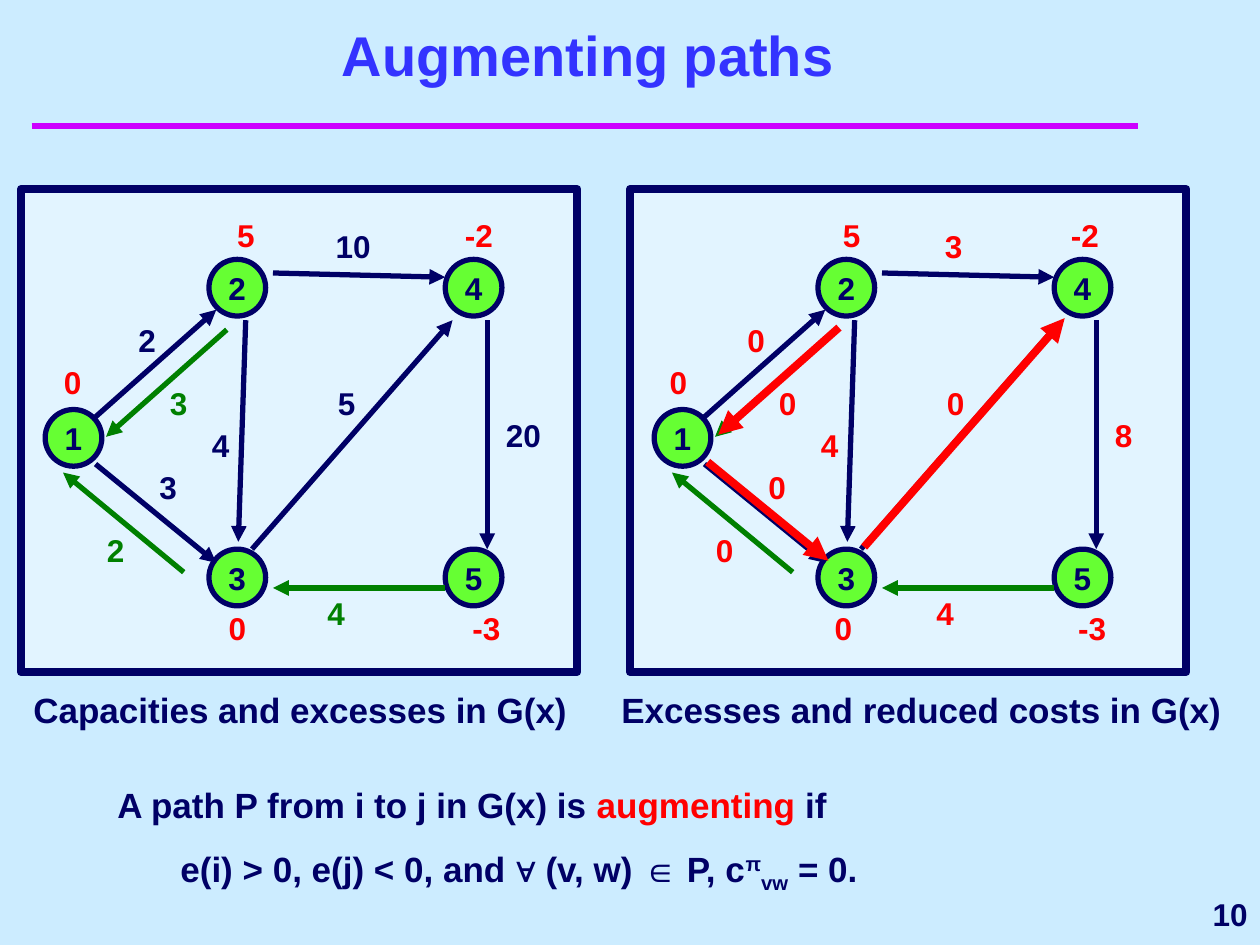
from lxml.etree import SubElement
from pptx import Presentation
from pptx.dml.color import RGBColor
from pptx.enum.shapes import MSO_CONNECTOR, MSO_SHAPE
from pptx.enum.text import MSO_ANCHOR, MSO_AUTO_SIZE, PP_ALIGN
from pptx.oxml.ns import qn
from pptx.util import Inches, Pt

SKY = RGBColor(0xCC, 0xEC, 0xFF)
PALE = RGBColor(0xE2, 0xF4, 0xFF)
NAVY = RGBColor(0x00, 0x00, 0x66)
BLUE = RGBColor(0x33, 0x33, 0xFF)
MAGENTA = RGBColor(0xCC, 0x00, 0xFF)
LIME = RGBColor(0x66, 0xFF, 0x33)
GREEN = RGBColor(0x00, 0x80, 0x00)
RED = RGBColor(0xFF, 0x00, 0x00)

COLUMNS, ROWS = 120, 90
SLIDE_WIDTH, SLIDE_HEIGHT = Inches(10), Inches(7.5)
PANEL_ROW, PANEL_COLUMNS, PANEL_ROWS = 18, 53, 46
CAPTION_ROW = 47
NODE_SIZE, LABEL_ROWS = 5.4, 4.8
HIGHLIGHT_SHIFT = (0.3, -0.2)

TITLE = "Augmenting paths"
PAGE_NUMBER = "10"

# node: centre, excess, excess label (column, row, columns)
NODES = {
    "1": ((5, 23.7), "0", (2.9, 16, 6.1)),
    "2": ((20.6, 9.4), "5", (19.4, 2, 4.8)),
    "3": ((20.6, 37), "0", (18.6, 39.4, 6.1)),
    "5": ((43.1, 37), "-3", (41.8, 39.4, 5.4)),
    "4": ((43.1, 9.4), "-2", (41.1, 2, 6.1)),
}

ARCS = {
    "1-2": ((7.1, 21.7), (18.6, 11.5), NAVY, (10, 12, 8)),
    "2-4": ((24, 8), (40.4, 8.4), NAVY, (28.8, 3, 9.6)),
    "4-5": ((44.4, 12.5), (44.4, 34.3), NAVY, (45, 21, 7)),
    "3-4": ((22, 34.3), (41.1, 12.5), NAVY, (29, 18, 5.4)),
    "1-3": ((7.1, 26.2), (18.6, 35.6), NAVY, (12, 26, 5.4)),
    "2-3": ((21.4, 12.5), (20.7, 33.6), NAVY, (17, 22, 5)),
    "3-1": ((15.5, 36.5), (4, 27), GREEN, (7, 32, 9)),
    "2-1": ((19.6, 13.4), (8.1, 23.6), GREEN, (13, 18, 6)),
    "5-3": ((40.4, 38), (24, 38), GREEN, (28, 38, 9.5)),
}

PANELS = [
    {
        "column": 2,
        "caption": "Capacities and excesses in G(x)",
        "caption_span": (0, 55),
        "arc_values": ["2", "10", "20", "5", "3", "4", "2", "3", "4"],
        "value_color": None,
        "excess_shift": 0,
        "augmenting_path": [],
    },
    {
        "column": 60,
        "caption": "Excesses and reduced costs in G(x)",
        "caption_span": (-2, 60),
        "arc_values": ["0", "3", "8", "0", "0", "4", "0", "0", "4"],
        "value_color": RED,
        "excess_shift": -0.3,
        "augmenting_path": ["3-4", "1-3", "2-1"],
    },
]

DEFINITION = [
    [("A path P from i to j in G(x) is ", NAVY, 0), ("augmenting ", RED, 0), ("if", NAVY, 0)],
    [
        ("e(i) > 0, e(j) < 0, and ∀ (v, w) ∈ P, c", NAVY, 0),
        ("π", NAVY, 30000),
        ("vw", NAVY, -25000),
        (" = 0.", NAVY, 0),
    ],
]


def across(columns):
    return round(SLIDE_WIDTH * columns / COLUMNS)


def down(rows):
    return round(SLIDE_HEIGHT * rows / ROWS)


def box(column, row, columns, rows):
    return across(column), down(row), across(columns), down(rows)


def style(paragraph, size, color):
    paragraph.font.name = "Arial"
    paragraph.font.size = Pt(size)
    paragraph.font.bold = True
    paragraph.font.color.rgb = color


def add_label(shapes, text, area, size=18, color=NAVY):
    frame = shapes.add_textbox(*box(*area)).text_frame
    frame.word_wrap = True
    frame.text = text
    style(frame.paragraphs[0], size, color)
    return frame


def add_outlined(shapes, preset, area, fill, weight):
    outlined = shapes.add_shape(preset, *box(*area))
    outlined.shadow.inherit = False
    outlined.fill.solid()
    outlined.fill.fore_color.rgb = fill
    outlined.line.color.rgb = NAVY
    outlined.line.width = Pt(weight)
    return outlined


def add_line(shapes, start, end, color, weight, arrow=True):
    line = shapes.add_connector(
        MSO_CONNECTOR.STRAIGHT, across(start[0]), down(start[1]), across(end[0]), down(end[1])
    )
    line.line.color.rgb = color
    line.line.width = Pt(weight)
    if arrow:
        SubElement(line.line._get_or_add_ln(), qn("a:tailEnd"), type="triangle")
    SubElement(line._element.spPr, qn("a:effectLst"))


def add_panel(slide, panel):
    shapes = slide.shapes.add_group_shape().shapes
    left = panel["column"]

    def place(point, shift=(0, 0)):
        return left + point[0] + shift[0], PANEL_ROW + point[1] + shift[1]

    frame_area = (left, PANEL_ROW, PANEL_COLUMNS, PANEL_ROWS)
    add_outlined(shapes, MSO_SHAPE.RECTANGLE, frame_area, PALE, 4.5)

    for name, (centre, excess, (column, row, columns)) in NODES.items():
        corner = place(centre, (-NODE_SIZE / 2, -NODE_SIZE / 2))
        node = add_outlined(shapes, MSO_SHAPE.OVAL, (*corner, NODE_SIZE, NODE_SIZE), LIME, 3)
        node.text_frame.word_wrap = False
        node.text_frame.vertical_anchor = MSO_ANCHOR.MIDDLE
        node.text_frame.text = name
        node_name = node.text_frame.paragraphs[0]
        node_name.alignment = PP_ALIGN.CENTER
        style(node_name, 18, NAVY)
        spot = place((column, row), (panel["excess_shift"], 0))
        add_label(shapes, excess, (*spot, columns, LABEL_ROWS), color=RED)

    for (start, end, color, (column, row, columns)), value in zip(ARCS.values(), panel["arc_values"]):
        add_line(shapes, place(start), place(end), color, 3)
        spot = place((column, row))
        add_label(shapes, value, (*spot, columns, LABEL_ROWS), color=panel["value_color"] or color)

    for arc in panel["augmenting_path"]:
        start, end = ARCS[arc][:2]
        add_line(shapes, place(start, HIGHLIGHT_SHIFT), place(end, HIGHLIGHT_SHIFT), RED, 4.5)

    column, columns = panel["caption_span"]
    add_label(shapes, panel["caption"], (*place((column, CAPTION_ROW)), columns, 5.3), size=20)


def add_definition(slide):
    frame = slide.shapes.add_textbox(*box(10, 74, 97, 11.9)).text_frame
    frame.word_wrap = True
    for index, pieces in enumerate(DEFINITION):
        paragraph = frame.add_paragraph() if index else frame.paragraphs[0]
        if index:
            paragraph.level = 1
            paragraph.space_before = Pt(12.5)
            properties = paragraph._p.get_or_add_pPr()
            properties.set("marL", str(Inches(1)))
            properties.set("indent", str(-Inches(0.5)))
        style(paragraph, 20, NAVY)
        for text, color, baseline in pieces:
            run = paragraph.add_run()
            run.text = text
            run.font.color.rgb = color
            if baseline:
                run.font._element.set("baseline", str(baseline))


def main():
    """Build the slide on augmenting paths."""
    deck = Presentation()
    deck.slide_width, deck.slide_height = SLIDE_WIDTH, SLIDE_HEIGHT
    slide = deck.slides.add_slide(deck.slide_layouts[5])
    slide.background.fill.solid()
    slide.background.fill.fore_color.rgb = SKY

    title = slide.shapes.title
    title.left, title.top, title.width, title.height = box(5, 2, 102, 7)
    title.text_frame.text = TITLE
    title.text_frame.auto_size = MSO_AUTO_SIZE.NONE
    title.text_frame.vertical_anchor = MSO_ANCHOR.BOTTOM
    title.text_frame.paragraphs[0].alignment = PP_ALIGN.CENTER
    style(title.text_frame.paragraphs[0], 32, BLUE)
    add_line(slide.shapes, (3, 12), (108.4, 12), MAGENTA, 4, arrow=False)

    page = add_label(slide.shapes, PAGE_NUMBER, (97, 84, 23, 6))
    page.vertical_anchor = MSO_ANCHOR.MIDDLE
    page.paragraphs[0].alignment = PP_ALIGN.RIGHT

    for panel in PANELS:
        add_panel(slide, panel)
    add_definition(slide)
    deck.save("out.pptx")


if __name__ == "__main__":
    main()
